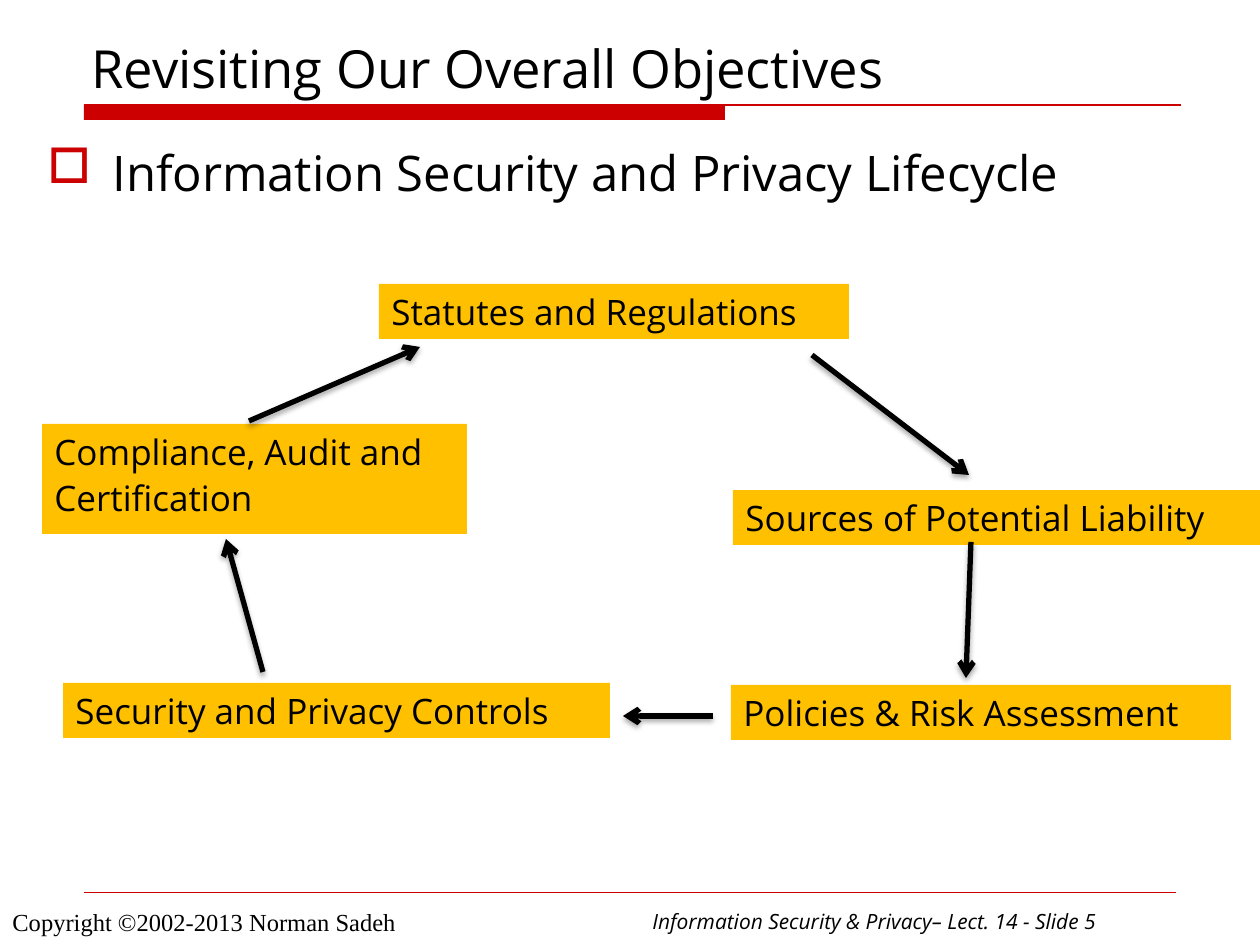
"""Builds the information security and privacy lifecycle slide."""
from lxml import etree
from pptx import Presentation
from pptx import util as u
from pptx.dml.color import RGBColor
from pptx.enum import shapes, text
from pptx.oxml import parse_xml
from pptx.oxml.ns import nsdecls, qn

PX = 914400 // 126
COLORS = {"ink": "000000", "accent": "CC0000", "stage": "FFC000"}
FONT = "Open Sans"

TITLE = ("Revisiting Our Overall Objectives", (79, 21, 1103, 84))
HEADING = ("Information Security and Privacy Lifecycle", (35, 130, 1182, 135))
COPYRIGHT = ("Copyright ©2002-2013 Norman Sadeh", (0, 901, 412, 43))
LECTURE = ("Information Security & Privacy– Lect. 14 - Slide 5", (640, 902, 582, 38))

STAGES = [
    (["Statutes and Regulations"], (379, 284, 470, 55)),
    (["Sources of Potential Liability"], (733, 490, 527, 55)),
    (["Policies & Risk Assessment"], (731, 685, 500, 55)),
    (["Security and Privacy Controls"], (63, 683, 547, 55)),
    (["Compliance, Audit and", "Certification"], (42, 424, 425, 110)),
]
STEPS = [
    (812, 355, 969, 475),
    (971, 542, 966, 678),
    (713, 716, 623, 716),
    (263, 672, 226, 539),
    (249, 421, 420, 347),
]
TITLE_BAR = (84, 105, 641, 15)
RULES = [((84, 105, 1181, 105), 0.75), ((84, 892, 1176, 892), 0.25)]

SHADOW = (
    '<a:outerShdw blurRad="39370" dist="22860" dir="5400000" rotWithShape="0">'
    f'<a:srgbClr val="{COLORS["ink"]}"><a:alpha val="35000"/></a:srgbClr></a:outerShdw>'
)


def emu(pixels):
    return [u.Emu(p * PX) for p in pixels]


def color(name):
    return RGBColor.from_string(COLORS[name])


def write(frame, lines, size, font=FONT, italic=False, anchor=text.MSO_ANCHOR.TOP):
    frame.word_wrap = True
    frame.vertical_anchor = anchor
    for number, line in enumerate(lines):
        paragraph = frame.add_paragraph() if number else frame.paragraphs[0]
        paragraph.text = line
        paragraph.alignment = text.PP_ALIGN.LEFT
        if number:
            paragraph.space_before = u.Pt(2.5)
        paragraph.font.name = font
        paragraph.font.size = u.Pt(size)
        paragraph.font.italic = italic
        paragraph.font.color.rgb = color("ink")
    return frame.paragraphs[0]


def add_text(slide, content, size, **style):
    line, box = content
    return write(slide.shapes.add_textbox(*emu(box)).text_frame, [line], size, **style)


def add_block(slide, box, fill):
    block = slide.shapes.add_shape(shapes.MSO_SHAPE.RECTANGLE, *emu(box))
    block.shadow.inherit = False
    block.fill.solid()
    block.fill.fore_color.rgb = color(fill)
    block.line.fill.background()
    return block


def add_line(slide, ends, ink, width, effect="", arrow=False):
    line = slide.shapes.add_connector(shapes.MSO_CONNECTOR.STRAIGHT, *emu(ends))
    line.line.color.rgb = color(ink)
    line.line.width = u.Pt(width)
    properties = line._element.spPr
    if arrow:
        etree.SubElement(properties.find(qn("a:ln")), qn("a:tailEnd"), type="arrow")
    properties.append(parse_xml(f'<a:effectLst {nsdecls("a")}>{effect}</a:effectLst>'))


def add_bullet(paragraph, character, ink, indent):
    properties = paragraph._p.get_or_add_pPr()
    properties.set("marL", str(indent * PX))
    properties.set("indent", str(-indent * PX))
    bullet_color = etree.Element(qn("a:buClr"))
    etree.SubElement(bullet_color, qn("a:srgbClr"), val=COLORS[ink])
    bullet = etree.Element(qn("a:buChar"), char=character)
    position = len(properties.findall(qn("a:lnSpc")))
    properties.insert(position, bullet_color)
    properties.insert(position + 1, bullet)


deck = Presentation()
deck.slide_width, deck.slide_height = emu((1260, 945))
slide = deck.slides.add_slide(deck.slide_layouts[6])

add_block(slide, TITLE_BAR, "accent")
for ends, width in RULES:
    add_line(slide, ends, "accent", width)
add_text(slide, COPYRIGHT, 14, font="Times New Roman")
add_text(slide, LECTURE, 12, italic=True)
add_text(slide, TITLE, 30, anchor=text.MSO_ANCHOR.BOTTOM)
heading = add_text(slide, HEADING, 28)
heading.line_spacing = 1.1
add_bullet(heading, "□", "accent", 65)

for lines, box in STAGES:
    write(add_block(slide, box, "stage").text_frame, lines, 20)
for ends in STEPS:
    add_line(slide, ends, "ink", 3, SHADOW, arrow=True)

deck.save("out.pptx")
